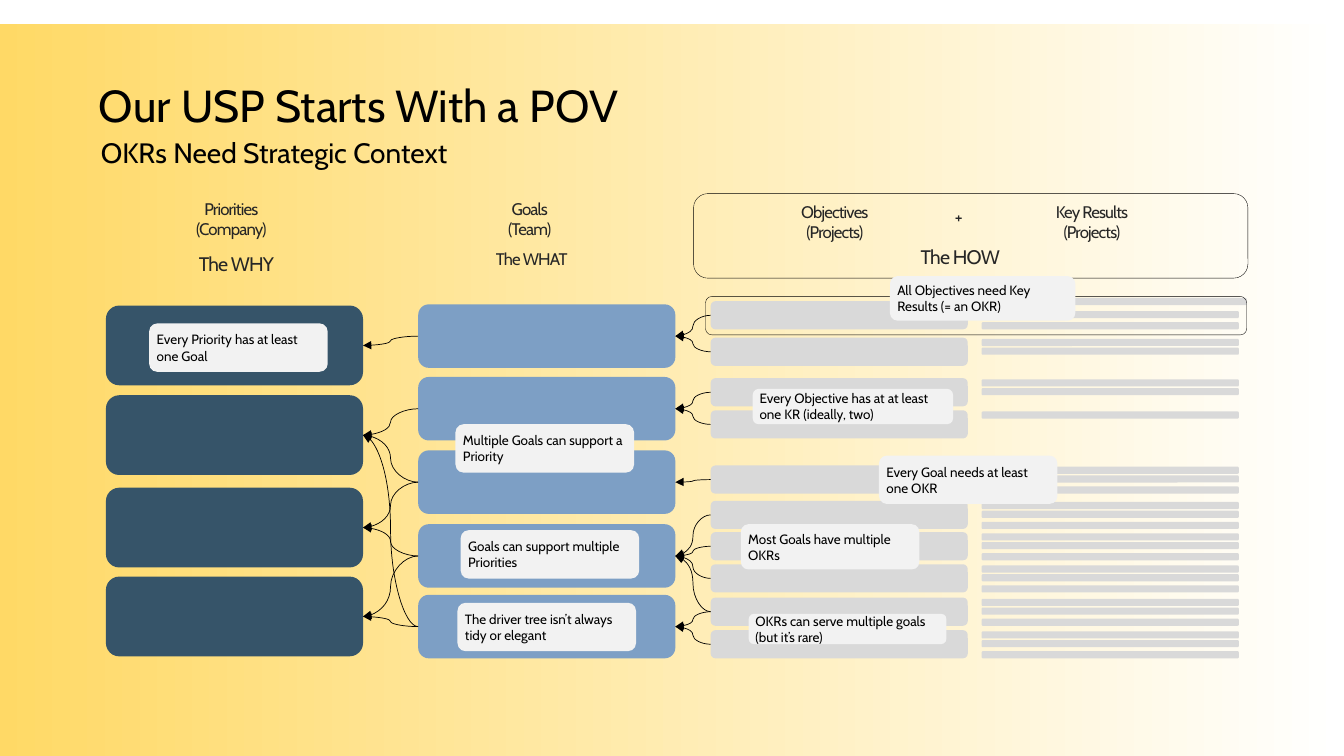
import copy
from dataclasses import dataclass

import pptx
import pptx.dml.color
import pptx.enum.shapes
import pptx.enum.text
import pptx.oxml
import pptx.oxml.ns
import pptx.util

Cm = pptx.util.Cm
Pt = pptx.util.Pt
SHAPE = pptx.enum.shapes.MSO_SHAPE
ALIGN = pptx.enum.text.PP_ALIGN
ANCHOR = pptx.enum.text.MSO_ANCHOR
qn = pptx.oxml.ns.qn


@dataclass(frozen=True)
class Theme:
    font: str = "Cabin"
    black: str = "000000"
    label: str = "262626"
    priority: str = "365469"
    goal: str = "7D9FC5"
    okr: str = "D9D9D9"
    callout: str = "F2F2F2"
    gold: str = "FFD966"
    white: str = "FFFFFF"
    title_size: float = 32
    subtitle_size: float = 20
    how_size: float = 14
    label_size: float = 12
    callout_size: float = 9.6
    arrow_width: float = 0.5
    frame_width: float = 0.25


THEME = Theme()

# Lengths below are in centimetres.
BOX_W = 6.48
PRIORITY_X, PRIORITY_H = 2.67, 2.01
GOAL_X, GOAL_H = 10.54, 1.6
OBJECTIVE_X, OBJECTIVE_H = 17.91, 0.71
RESULT_X, RESULT_H = 24.74, 0.18

PRIORITY_TOPS = (7.7, 9.96, 12.29, 14.53)
# Top, indices of the priorities supported
GOALS = (
    (7.67, (0,)), (9.5, (1,)), (11.35, (2, 1)), (13.21, (2, 3)), (14.99, (3, 1)),
)
# Key results as (right, down) offsets from the start of their row
RESULTS = ((0, 0.03), (0, 0.25), (0, 0.53))
FIRST_RESULTS = ((0.2, -0.08),) + RESULTS[1:]
# Top, indices of the goals served, key results
OBJECTIVES = (
    (7.59, (0,), FIRST_RESULTS), (8.51, (0,), RESULTS[:2]),
    (9.53, (1,), RESULTS[:2]), (10.34, (1,), RESULTS[:1]),
    (11.73, (2,), RESULTS), (12.62, (3,), RESULTS), (13.41, (3,), RESULTS),
    (14.22, (3,), RESULTS), (15.06, (3, 4), RESULTS), (15.88, (4,), RESULTS),
)
FRAMES = ((17.78, 7.47, 13.64, 0.97), (17.48, 4.88, 13.97, 2.13))
LABELS = (
    ("Priorities\v(Company)", (3.05, 4.88, 5.56, 1.27), THEME.label_size),
    ("Goals\v(Team)", (10.57, 4.88, 5.56, 1.27), THEME.label_size),
    ("Objectives\v(Projects)", (18.26, 4.95, 5.56, 1.27), THEME.label_size),
    ("+", (22.68, 5.08, 2.97, 0.71), THEME.label_size),
    ("Key Results\v(Projects)", (24.74, 4.95, 5.56, 1.27), THEME.label_size),
    ("The WHY", (3.18, 6.22, 5.56, 0.86), THEME.how_size),
    ("The WHAT", (10.62, 6.15, 5.56, 0.71), THEME.label_size),
    ("The HOW", (20.57, 6.05, 7.26, 0.86), THEME.how_size),
)
CALLOUTS = (
    ("Every Priority has at least one Goal", (3.76, 8.15, 4.5, 1.22)),
    ("Multiple Goals can support a Priority", (11.48, 10.69, 4.5, 1.22)),
    ("Goals can support multiple Priorities", (11.61, 13.36, 4.5, 1.22)),
    ("The driver tree isn’t always tidy or elegant", (11.53, 15.19, 4.5, 1.22)),
    ("All Objectives need Key Results (= an OKR)", (22.43, 6.96, 4.67, 1.12)),
    ("Every Objective has at at least one KR (ideally, two)", (18.97, 9.8, 5.05, 0.89)),
    ("Every Goal needs at least one OKR", (22.15, 11.48, 4.5, 1.22)),
    ("OKRs can serve multiple goals (but it’s rare)", (18.87, 15.47, 4.98, 0.76)),
    ("Most Goals have multiple OKRs", (18.67, 13.21, 4.5, 1.14)),
)


def rgb(color):
    return pptx.dml.color.RGBColor.from_string(color)


def write(sp, text, *, size, color=THEME.black, align=ALIGN.LEFT,
          anchor=ANCHOR.TOP, inset=None, after=None, spacing=None, wrap=True):
    """Fill a shape with one paragraph; a vertical tab breaks the line."""
    tf = sp.text_frame
    tf.word_wrap = wrap
    tf.auto_size = pptx.enum.text.MSO_AUTO_SIZE.NONE
    tf.vertical_anchor = anchor
    if inset is not None:
        tf.margin_left = tf.margin_right = Cm(inset)
        tf.margin_top = tf.margin_bottom = Cm(inset)
    p = tf.paragraphs[0]
    p.text = text
    p.alignment = align
    if after is not None:
        p.space_after = Pt(after)
    for r in p.runs:
        r.font.name = THEME.font
        r.font.size = Pt(size)
        r.font.color.rgb = rgb(color)
        if spacing is not None:
            r._r.get_or_add_rPr().set("spc", str(round(spacing * 100)))
    for br in p._p.findall(qn("a:br")):
        br.append(copy.deepcopy(p.runs[0]._r.rPr))


def add_box(s, box, *, fill=None, line=None, shape=SHAPE.ROUNDED_RECTANGLE):
    sp = s.shapes.add_shape(shape, *map(Cm, box))
    sp.shadow.inherit = False
    if fill:
        sp.fill.solid()
        sp.fill.fore_color.rgb = rgb(fill)
    else:
        sp.fill.background()
    if line:
        sp.line.color.rgb = rgb(line)
        sp.line.width = Pt(THEME.frame_width)
    else:
        sp.line.fill.background()
    return sp


def add_backdrop(s):
    """Gold fading to white, behind everything else."""
    sp = add_box(s, (0, 0.61, 33.87, 18.44), shape=SHAPE.RECTANGLE)
    sp.fill.gradient()
    sp.fill.gradient_angle = 0
    for stop, color in zip(sp.fill.gradient_stops, (THEME.gold, THEME.white)):
        stop.color.rgb = rgb(color)
    s.shapes._spTree.insert(2, sp._element)


def add_heading(s):
    title = s.shapes.title
    title.left, title.top, title.width, title.height = map(Cm, (2.24, 1.78, 29.21, 1.73))
    write(title, "Our USP Starts With a POV", size=THEME.title_size, anchor=ANCHOR.MIDDLE)
    subtitle = s.shapes.add_textbox(*map(Cm, (2.29, 3.3, 10.03, 1.12)))
    write(subtitle, "OKRs Need Strategic Context", size=THEME.subtitle_size, wrap=False)


def add_label(s, text, box, size):
    write(s.shapes.add_textbox(*map(Cm, box)), text, size=size, color=THEME.label,
          align=ALIGN.CENTER, after=14.4, spacing=-0.6)


def add_callout(s, text, box):
    write(add_box(s, box, fill=THEME.callout), text, size=THEME.callout_size,
          anchor=ANCHOR.MIDDLE, inset=0.13)


def add_arrow(s, source, target):
    """Curve from the left side of source to the right side of target."""
    line = s.shapes.add_connector(pptx.enum.shapes.MSO_CONNECTOR.CURVE, 0, 0, 0, 0)
    line.begin_connect(source, 1)
    line.end_connect(target, 3)
    line.line.color.rgb = rgb(THEME.black)
    line.line.width = Pt(THEME.arrow_width)
    ln = line.line._get_or_add_ln()
    ln.append(ln.makeelement(qn("a:tailEnd"), {"type": "triangle"}))
    spPr = line._element.spPr
    spPr.append(spPr.makeelement(qn("a:effectLst"), {}))


def add_driver_tree(s):
    priorities = [add_box(s, (PRIORITY_X, top, BOX_W, PRIORITY_H), fill=THEME.priority)
                  for top in PRIORITY_TOPS]
    goals = []
    for top, supported in GOALS:
        goal = add_box(s, (GOAL_X, top, BOX_W, GOAL_H), fill=THEME.goal)
        goals.append(goal)
        for i in supported:
            add_arrow(s, goal, priorities[i])
    for top, served, results in OBJECTIVES:
        objective = add_box(s, (OBJECTIVE_X, top, BOX_W, OBJECTIVE_H), fill=THEME.okr)
        for right, down in results:
            add_box(s, (RESULT_X + right, top + down, BOX_W, RESULT_H), fill=THEME.okr)
        for i in served:
            add_arrow(s, objective, goals[i])


def main():
    prs = pptx.Presentation()
    prs.slide_width, prs.slide_height = Cm(33.87), Cm(19.05)
    s = prs.slides.add_slide(prs.slide_layouts.get_by_name("Title Only"))
    add_backdrop(s)
    add_heading(s)
    add_driver_tree(s)
    for box in FRAMES:
        add_box(s, box, line=THEME.black)
    for label in LABELS:
        add_label(s, *label)
    for callout in CALLOUTS:
        add_callout(s, *callout)
    prs.save("out.pptx")


if __name__ == "__main__":
    main()
